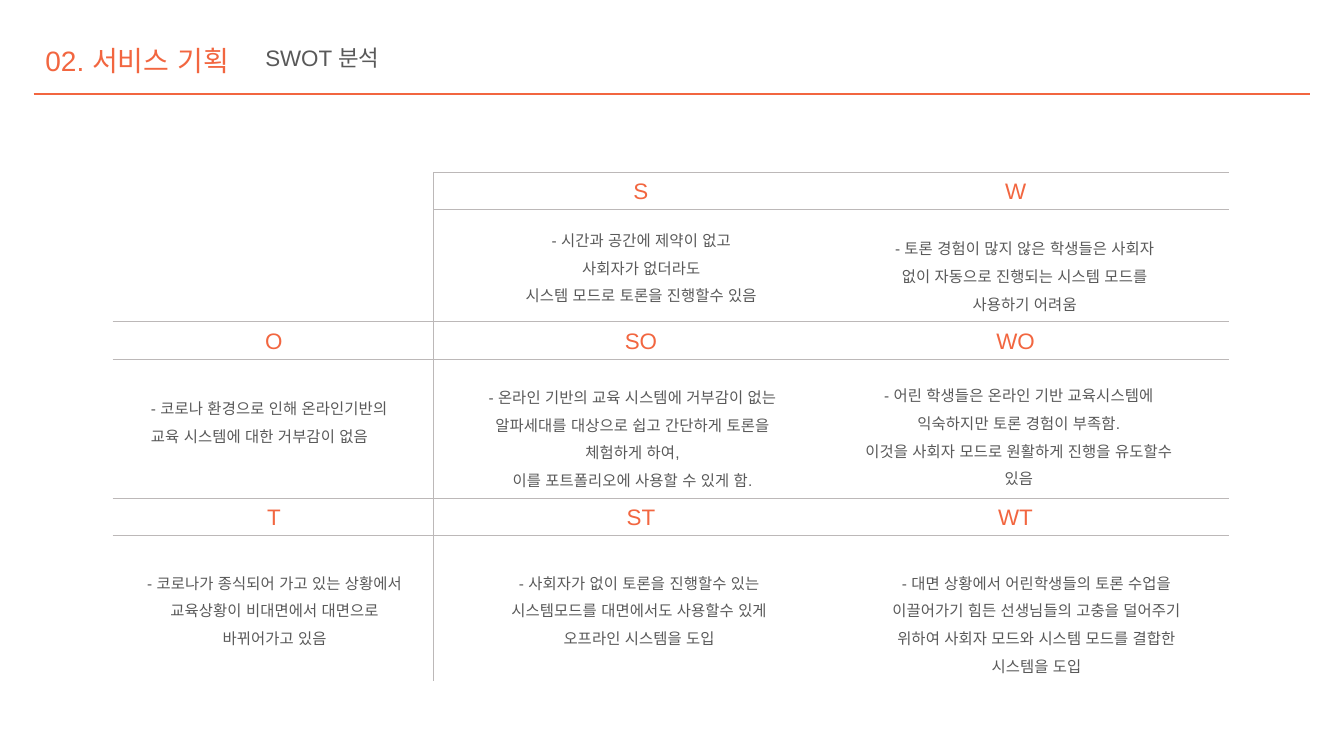
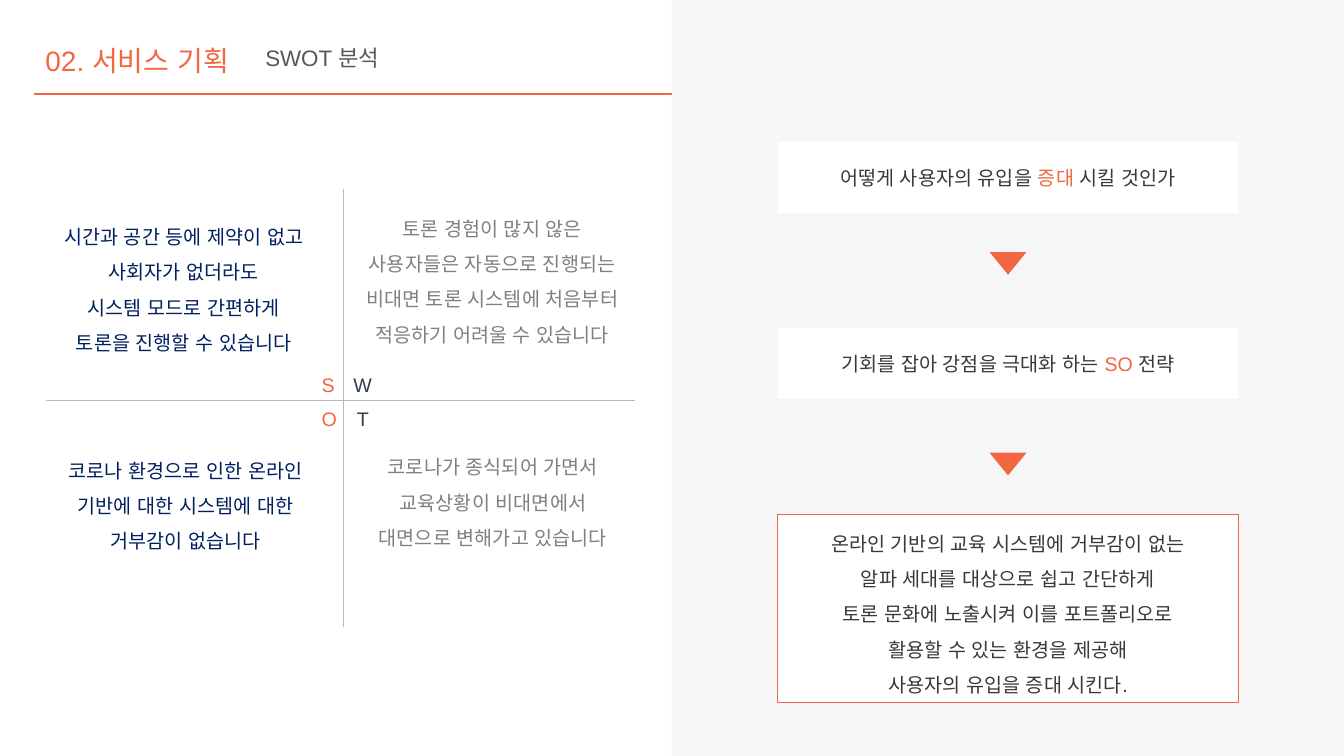
from lxml.etree import SubElement
from pptx import Presentation
from pptx.dml.color import RGBColor
from pptx.enum.shapes import MSO_CONNECTOR, MSO_SHAPE
from pptx.enum.text import MSO_ANCHOR, MSO_AUTO_SIZE, PP_ALIGN
from pptx.oxml.ns import qn
from pptx.util import Emu, Pt

COLS, ROWS = 160, 90
UNIT = 76200
FONT = "Arial"
HUES = {
    "accent": "F26640",
    "body": "595959",
    "dark": "3A3838",
    "navy": "002060",
    "gray": "808080",
    "slate": "323F4F",
    "rule": "BCB8B8",
    "panel": "F6F6F6",
    "white": "FFFFFF",
}

EDGE, AXIS, END, FOOT = 13.4, 51.6, 146.3, 81.1
TOPS = (20.5, 38.3, 59.3)
BAND = 4.45
MIDS = (32.6, 76.3, 120.9)
CELLS = [
    (0, 1, "S", 53.9, 5.3, 44.9,
     "- 시간과 공간에 제약이 없고\n사회자가 없더라도\n시스템 모드로 토론을 진행할수 있음"),
    (0, 2, "W", 104.6, 6.3, 34.8,
     "- 토론 경험이 많지 않은 학생들은 사회자 없이 자동으로 진행되는 시스템 모드를 사용하기 어려움"),
    (1, 0, "O", 16.8, 7.5, 32.4,
     "- 코로나 환경으로 인해 온라인기반의 교육 시스템에 대한 거부감이 없음"),
    (1, 1, "SO", 55.8, 6.2, 39,
     "- 온라인 기반의 교육 시스템에 거부감이 없는 알파세대를 대상으로 쉽고 간단하게 토론을 "
     "체험하게 하여,\n이를 포트폴리오에 사용할 수 있게 함."),
    (1, 2, "WO", 100.8, 6, 41,
     "- 어린 학생들은 온라인 기반 교육시스템에 익숙하지만 토론 경험이 부족함.\n"
     "이것을 사회자 모드로 원활하게 진행을 유도할수 있음"),
    (2, 0, "T", 15, 7.3, 35.4,
     "- 코로나가 종식되어 가고 있는 상황에서 교육상황이 비대면에서 대면으로 바뀌어가고 있음"),
    (2, 1, "ST", 58.4, 7.3, 35.4,
     "- 사회자가 없이 토론을 진행할수 있는 시스템모드를 대면에서도 사용할수 있게 오프라인 시스템을 도입"),
    (2, 2, "WT", 104.9, 7.3, 37,
     "- 대면 상황에서 어린학생들의 토론 수업을 이끌어가기 힘든 선생님들의 고충을 덜어주기 "
     "위하여 사회자 모드와 시스템 모드를 결합한 시스템을 도입"),
]

MARKS = [
    ("S", 37.1, 43.8, "accent"),
    ("W", 40.9, 43.8, "slate"),
    ("O", 37.1, 47.9, "accent"),
    ("T", 41.3, 47.9, "slate"),
]
NOTES = [
    (6.2, 24.8, 31.4, "navy",
     "시간과 공간 등에 제약이 없고 사회자가 없더라도\n시스템 모드로 간편하게 토론을 진행할 수 있습니다"),
    (42.2, 23.8, 32.8, "gray",
     "토론 경험이 많지 않은 사용자들은 자동으로 진행되는 비대면 토론 시스템에 처음부터 "
     "적응하기 어려울 수 있습니다"),
    (6.4, 52.6, 31.4, "navy",
     "코로나 환경으로 인한 온라인 기반에 대한 시스템에 대한\n거부감이 없습니다"),
    (43, 52.2, 31.4, "gray",
     "코로나가 종식되어 가면서 교육상황이 비대면에서 대면으로 변해가고 있습니다"),
]
CARDS = [
    (16.9, 8.5, None, 1,
     [[("어떻게 사용자의 유입을 ", "dark"), ("증대 ", "accent"), ("시킬 것인가", "dark")]]),
    (39, 8.5, None, 1,
     [[("기회를 잡아 강점을 극대화 하는 ", "dark"), ("SO", "accent"), (" 전략", "dark")]]),
    (61.2, 22.4, "accent", 1.5,
     [[(line, "dark")] for line in (
         "온라인 기반의 교육 시스템에 거부감이 없는",
         "알파 세대를 대상으로 쉽고 간단하게",
         "토론 문화에 노출시켜 이를 포트폴리오로",
         "활용할 수 있는 환경을 제공해",
         "사용자의 유입을 증대 시킨다.",
     )]),
]


def span(*cells):
    return [Emu(round(cell * UNIT)) for cell in cells]


def hue(name):
    return RGBColor.from_string(HUES[name])


def plain(text, tone):
    return [[(line, tone)] for line in text.split("\n")]


def write(frame, paras, size, align=PP_ALIGN.CENTER, space=1.5,
          anchor=MSO_ANCHOR.TOP, wrap=True):
    frame.word_wrap = wrap
    frame.auto_size = MSO_AUTO_SIZE.NONE
    frame.vertical_anchor = anchor
    for i, runs in enumerate(paras):
        para = frame.add_paragraph() if i else frame.paragraphs[0]
        para.alignment = align
        para.line_spacing = space
        for text, tone in runs:
            run = para.add_run()
            run.text = text
            run.font.size = Pt(size)
            run.font.color.rgb = hue(tone)
            run.font.name = FONT
            SubElement(run.font._element, qn("a:ea"), typeface=FONT)


def label(slide, area, text, tone, size, **style):
    box = slide.shapes.add_textbox(*span(*area))
    write(box.text_frame, plain(text, tone), size, **style)


def rule(slide, ends, tone="rule", width=0.75):
    line = slide.shapes.add_connector(MSO_CONNECTOR.STRAIGHT, *span(*ends))
    line.line.color.rgb = hue(tone)
    line.line.width = Pt(width)
    SubElement(line._element.spPr, qn("a:effectLst"))


def block(slide, area, fill, edge=None, kind=MSO_SHAPE.RECTANGLE):
    shape = slide.shapes.add_shape(kind, *span(*area))
    shape.shadow.inherit = False
    shape.fill.solid()
    shape.fill.fore_color.rgb = hue(fill)
    if edge:
        shape.line.color.rgb = hue(edge)
        shape.line.width = Pt(0.75)
    else:
        shape.line.fill.background()
    return shape


def start(deck, panel=False):
    slide = deck.slides.add_slide(deck.slide_layouts[5])
    rule(slide, (4, 11.2, 156, 11.2), "accent", 2)
    if panel:
        block(slide, (COLS / 2, 0, COLS / 2, ROWS), "panel")
    title = slide.shapes.title
    title.left, title.top, title.width, title.height = span(4.2, 2.9, 25.6, 6.5)
    style = {"align": PP_ALIGN.LEFT, "anchor": MSO_ANCHOR.MIDDLE, "wrap": False}
    write(title.text_frame, plain("02. 서비스 기획", "accent"), 20, **style)
    label(slide, (30.4, 3.4, 40, 5.4), "SWOT 분석", "body", 16, **style)
    return slide


def matrix(deck):
    slide = start(deck)
    for i, top in enumerate(TOPS):
        for y in (top, top + BAND):
            rule(slide, (EDGE if i else AXIS, y, END, y))
    rule(slide, (AXIS, TOPS[0], AXIS, FOOT))
    for row, col, head, left, gap, width, text in CELLS:
        top = TOPS[row]
        label(slide, (MIDS[col] - 5, top, 10, BAND), head, "accent", 16, space=1)
        align = PP_ALIGN.LEFT if head == "O" else PP_ALIGN.CENTER
        label(slide, (left, top + gap, width, 13.4), text, "body", 11, align=align)


def plan(deck):
    slide = start(deck, panel=True)
    mid = COLS * 3 / 4
    for top, height, edge, space, paras in CARDS:
        card = block(slide, (mid - 27.4, top, 54.8, height), "white", edge)
        write(card.text_frame, paras, 14, space=space, anchor=MSO_ANCHOR.MIDDLE)
    for top in (30, 53.9):
        arrow = block(slide, (mid - 2.2, top, 4.4, 2.7), "accent",
                      kind=MSO_SHAPE.ISOSCELES_TRIANGLE)
        arrow.rotation = 180
    rule(slide, (40.9, 22.5, 40.9, 74.7))
    rule(slide, (5.5, 47.7, 75.6, 47.7))
    for text, left, top, tone in MARKS:
        label(slide, (left, top, 4.5, 4), text, tone, 14,
              align=PP_ALIGN.LEFT, space=1, wrap=False)
    for left, top, width, tone, text in NOTES:
        label(slide, (left, top, width, 18.1), text, tone, 14)


def main():
    deck = Presentation()
    deck.slide_width, deck.slide_height = span(COLS, ROWS)
    matrix(deck)
    plan(deck)
    deck.save("out.pptx")


if __name__ == "__main__":
    main()
